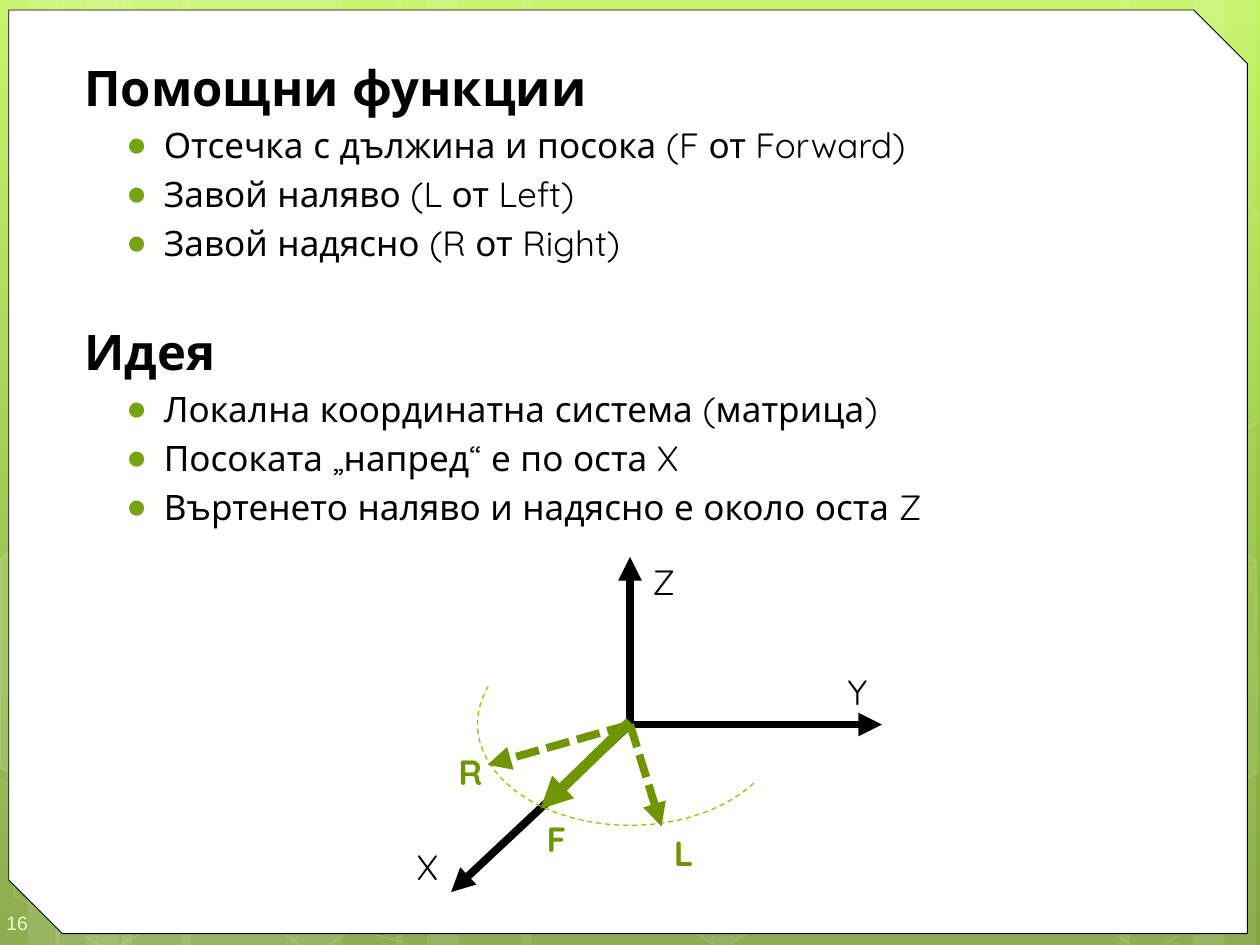
"""Builds the slide on helper functions for a local coordinate system."""
import copy

import pptx
import pptx.dml.color
import pptx.enum.dml
import pptx.enum.shapes
import pptx.enum.text
import pptx.oxml
import pptx.oxml.ns
import pptx.util
from pptx.util import Inches

RGBColor = pptx.dml.color.RGBColor
Shape = pptx.enum.shapes.MSO_SHAPE
Dash = pptx.enum.dml.MSO_LINE
AutoSize = pptx.enum.text.MSO_AUTO_SIZE
Pt = pptx.util.Pt
qn = pptx.oxml.ns.qn

BLACK = RGBColor(0x00, 0x00, 0x00)
WHITE = RGBColor(0xFF, 0xFF, 0xFF)
GREEN = RGBColor(0x6F, 0x95, 0x00)
LIME = RGBColor(0x94, 0xC6, 0x00)
BULLET_GREEN = RGBColor(0x74, 0xA5, 0x10)
PALE = RGBColor(0xEE, 0xFF, 0xD6)
SKY = [(0, RGBColor(0xC3, 0xF3, 0x5F)), (0.62, RGBColor(0x93, 0xBF, 0x3F)),
       (1, RGBColor(0x81, 0xA5, 0x3E))]

STRIPES = [(0.97, 1.75), (0, 0.47), (0.22, 0.83), (1.44, 1.75), (0.44, 0.5),
           (0.69, 0.83), (7.22, 1.75), (9.47, 0.5), (8.89, 0.83),
           (4.14, 3.08), (3.14, 0.5), (3.39, 0.83)]
HEXAGONS = [(4.85, 5.89, 6), (0, 5.91, 0), (1.62, 5.92, 0), (8.23, 5.93, 0)]
EDGE_CELLS = [
    ([(0, 4.43), (0.08, 4.38), (0.85, 4.82), (0.84, 5.7), (0.09, 6.14), (0, 6.09)], 10),
    ([(9.15, 4.85), (9.9, 4.41), (9.97, 4.46), (9.98, 6.13), (9.91, 6.17), (9.14, 5.73)], 4),
    ([(9.15, 2.07), (9.9, 1.63), (9.98, 1.68), (9.98, 3.35), (9.91, 3.39), (9.14, 2.95)], 0)]
SWEEPS = [[(0, 6.19), (1.15, 6.72), (2.36, 7.27), (3.23, 7.49)],
          [(2.31, 7.49), (2.49, 7.29), (2.67, 7.09), (2.91, 6.91)]]

SECTIONS = [
    ("Помощни функции", 0, ["Отсечка с дължина и посока (F от Forward)",
                            "Завой наляво (L от Left)",
                            "Завой надясно (R от Right)"]),
    ("Идея", 33, ["Локална координатна система (матрица)",
                  "Посоката „напред“ е по оста X",
                  "Въртенето наляво и надясно е около оста Z"])]

ORIGIN = (5, 5.75)
AXES = [(7, 5.75), (5, 4.42), (3.58, 7.08)]
TURNS = [(5.25, 6.56), (3.87, 6.07)]
AXIS_LABELS = [("X", 3.21, 6.66, 0.37), ("Y", 6.63, 5.27, 0.37), ("Z", 5.08, 4.4, 0.34)]
MOVE_LABELS = [("F", 4.24, 6.44, 0.34), ("L", 5.25, 6.55, 0.32), ("R", 3.54, 5.91, 0.36)]


def cubic(start, first, second, end, steps=16):
    """Returns points along a cubic curve."""
    curve = []
    for step in range(steps + 1):
        t = step / steps
        weights = ((1 - t) ** 3, 3 * t * (1 - t) ** 2, 3 * t * t * (1 - t), t ** 3)
        corners = (start, first, second, end)
        curve.append(tuple(sum(w * c[axis] for w, c in zip(weights, corners))
                           for axis in (0, 1)))
    return curve


class SlideBuilder:
    """Holds the text style and the slide being built."""

    def __init__(self, slide, font="Quicksand", size=20):
        self.slide = slide
        self.shapes = slide.shapes
        self.font = font
        self.size = size

    def background(self, stops):
        """Paints a vertical gradient behind the slide."""
        fill = self.slide.background.fill
        fill.gradient()
        fill.gradient_angle = 270
        last = fill.gradient_stops[1]._gs
        last.addprevious(copy.deepcopy(last))
        for stop, (position, color) in zip(fill.gradient_stops, stops):
            stop.position = position
            stop.color.rgb = color

    def opacity(self, owner, percent):
        """Makes the solid fill of a shape or line see-through."""
        color = owner.find(qn("a:solidFill"))[0]
        alpha = pptx.oxml.parse_xml(
            f'<a:alpha {pptx.oxml.ns.nsdecls("a")} val="{percent * 1000}"/>')
        color.append(alpha)

    def veil(self, shape, fill=0, line=0, width=1):
        """Gives a shape a translucent white fill and outline."""
        shape.shadow.inherit = False
        properties = shape._element.spPr
        if fill:
            shape.fill.solid()
            shape.fill.fore_color.rgb = WHITE
            self.opacity(properties, fill)
        else:
            shape.fill.background()
        if line:
            shape.line.color.rgb = WHITE
            shape.line.width = Pt(width)
            self.opacity(properties.find(qn("a:ln")), line)
        else:
            shape.line.fill.background()

    def preset(self, kind, left, top, width, height, adjustments=()):
        """Adds a preset shape without a shadow."""
        shape = self.shapes.add_shape(
            kind, Inches(left), Inches(top), Inches(width), Inches(height))
        shape.shadow.inherit = False
        for index, value in enumerate(adjustments):
            shape.adjustments[index] = value
        return shape

    def outline(self, points, close):
        """Adds a freeform through points given in inches."""
        start, *rest = [(Inches(x), Inches(y)) for x, y in points]
        builder = self.shapes.build_freeform(*start)
        builder.add_line_segments(rest, close=close)
        return builder.convert_to_shape()

    def arrow(self, start, end, color, width, dash=None):
        """Adds a straight arrow."""
        arrow = self.shapes.add_connector(
            pptx.enum.shapes.MSO_CONNECTOR.STRAIGHT,
            *(Inches(value) for value in (*start, *end)))
        arrow.line.color.rgb = color
        arrow.line.width = Pt(width)
        if dash:
            arrow.line.dash_style = dash
        properties = arrow._element.spPr
        head = properties.find(qn("a:ln")).makeelement(qn("a:tailEnd"), {"type": "triangle"})
        properties.find(qn("a:ln")).append(head)
        properties.append(properties.makeelement(qn("a:effectLst"), {}))

    def style(self, paragraph, color, size=None, bold=False, font=None):
        """Sets the font of a whole paragraph."""
        paragraph.font.name = font or self.font
        paragraph.font.size = Pt(size or self.size)
        paragraph.font.bold = bold
        paragraph.font.color.rgb = color

    def label(self, text, left, top, width, color, bold=False):
        """Adds a short label that fits its text."""
        box = self.shapes.add_textbox(Inches(left), Inches(top), Inches(width), Inches(0.44))
        box.text_frame.word_wrap = False
        box.text_frame.auto_size = AutoSize.SHAPE_TO_FIT_TEXT
        box.text_frame.text = text
        self.style(box.text_frame.paragraphs[0], color, bold=bold)

    def page_number(self, text):
        """Adds the page number in the lower left corner."""
        box = self.shapes.add_textbox(Inches(0), Inches(7.1), Inches(0.58), Inches(0.4))
        frame = box.text_frame
        frame.word_wrap = True
        frame.vertical_anchor = pptx.enum.text.MSO_ANCHOR.MIDDLE
        frame.margin_left, frame.margin_top = Inches(0.05), Inches(0.15)
        frame.margin_right, frame.margin_bottom = Inches(0), Inches(0.1)
        frame.text = text
        self.style(frame.paragraphs[0], PALE, size=11, font="Arial")

    def indent(self, paragraph, margin, hanging, bullet):
        """Sets the indent and bullet of a paragraph."""
        properties = paragraph._p.get_or_add_pPr()
        properties.set("marL", str(Inches(margin)))
        properties.set("indent", str(Inches(hanging)))
        space = pptx.oxml.ns.nsdecls("a")
        marks = [f"<a:buNone {space}/>"]
        if bullet:
            marks = [f'<a:buClr {space}><a:srgbClr val="{BULLET_GREEN}"/></a:buClr>',
                     f'<a:buFont {space} typeface="Arial"/>',
                     f'<a:buChar {space} char="{bullet}"/>']
        for mark in marks:
            properties.append(pptx.oxml.parse_xml(mark))

    def body(self, sections):
        """Fills the body placeholder with headings and bullet lists."""
        title = self.shapes.title._element
        title.getparent().remove(title)
        body = self.slide.placeholders[1]
        body._element.getparent().append(body._element)
        body.left, body.top = Inches(0.5), Inches(0.41)
        body.width, body.height = Inches(9.42), Inches(7.01)
        frame = body.text_frame
        frame.auto_size = AutoSize.NONE
        for number, (heading_text, gap, items) in enumerate(sections):
            heading = frame.add_paragraph() if number else frame.paragraphs[0]
            heading.text = heading_text
            heading.space_before = Pt(gap)
            self.indent(heading, 0.07, 0, None)
            self.style(heading, BLACK, size=28, bold=True)
            for item_text in items:
                item = frame.add_paragraph()
                item.text = item_text
                item.level = 1
                self.indent(item, 0.7, -0.3, "●")
                self.style(item, BLACK)


def main():
    """Builds and saves the presentation."""
    deck = pptx.Presentation()
    deck.slide_width, deck.slide_height = Inches(10), Inches(7.5)
    page = SlideBuilder(deck.slides.add_slide(deck.slide_layouts[1]))
    page.background(SKY)
    for left, width in STRIPES:
        page.veil(page.preset(Shape.RECTANGLE, left, 0, width, 7.5), fill=10)
    for sweep in SWEEPS:
        page.veil(page.outline(cubic(*sweep), False), line=20, width=0.5)
    for left, top, fill in HEXAGONS:
        hexagon = page.preset(Shape.HEXAGON, left, top, 1.75, 1.52, [0.285])
        hexagon.rotation = 30
        page.veil(hexagon, fill, line=12)
    for points, fill in EDGE_CELLS:
        page.veil(page.outline(points, True), fill, line=12)

    panel = page.preset(Shape.SNIP_2_DIAG_RECTANGLE, 0.07, 0.08, 9.83, 7.33, [0, 0.058])
    panel.fill.solid()
    panel.fill.fore_color.rgb = WHITE
    panel.line.color.rgb = BLACK
    panel.line.width = Pt(0.5)
    page.page_number("16")
    page.body(SECTIONS)

    for axis_end in AXES:
        page.arrow(ORIGIN, axis_end, BLACK, 4.5)
    for label in AXIS_LABELS:
        page.label(*label, BLACK)
    page.arrow((5, 5.73), (4.29, 6.42), GREEN, 6)
    turning_arc = page.preset(Shape.ARC, 3.79, 4.94, 2.42, 1.61, [15.322, 116.857])
    turning_arc.fill.background()
    turning_arc.line.color.rgb = LIME
    turning_arc.line.width = Pt(0.75)
    turning_arc.line.dash_style = Dash.DASH
    for turn_end in TURNS:
        page.arrow(ORIGIN, turn_end, GREEN, 4.5, Dash.SQUARE_DOT)
    for label in MOVE_LABELS:
        page.label(*label, GREEN, bold=True)
    deck.save("out.pptx")


if __name__ == "__main__":
    main()
